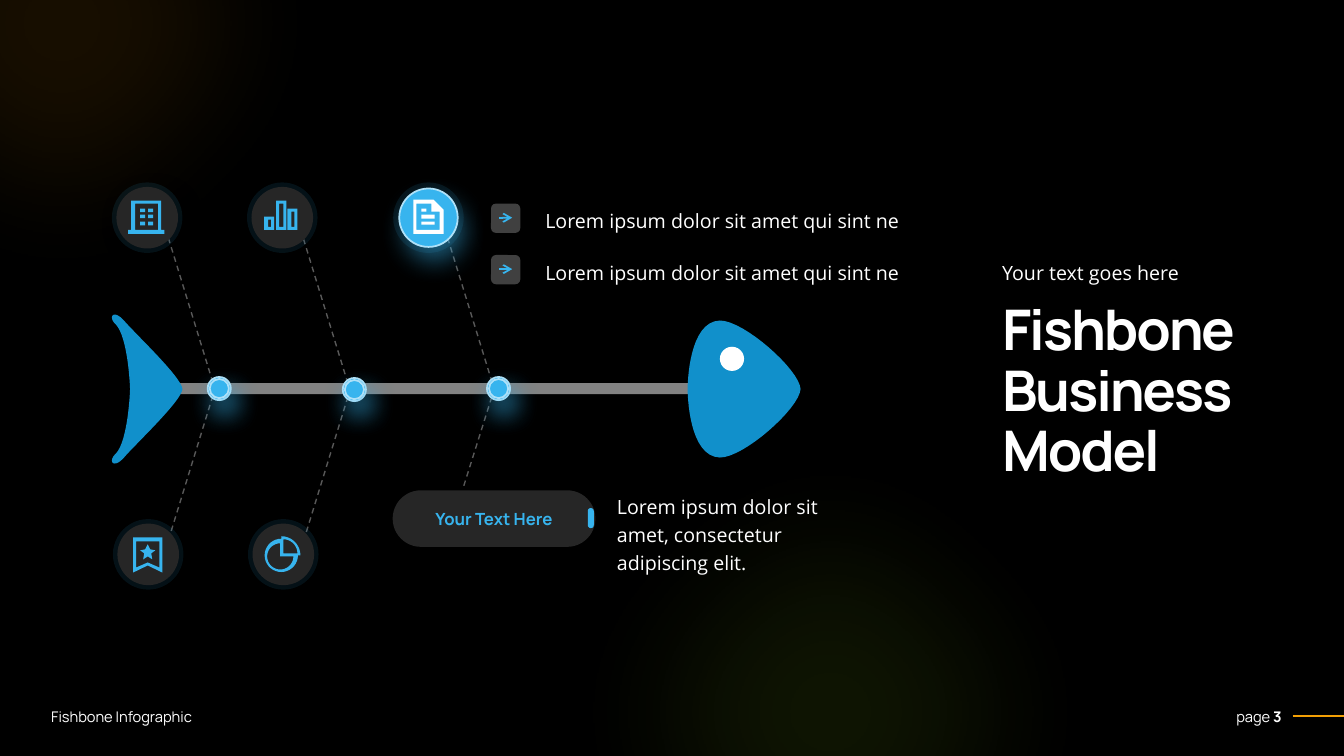
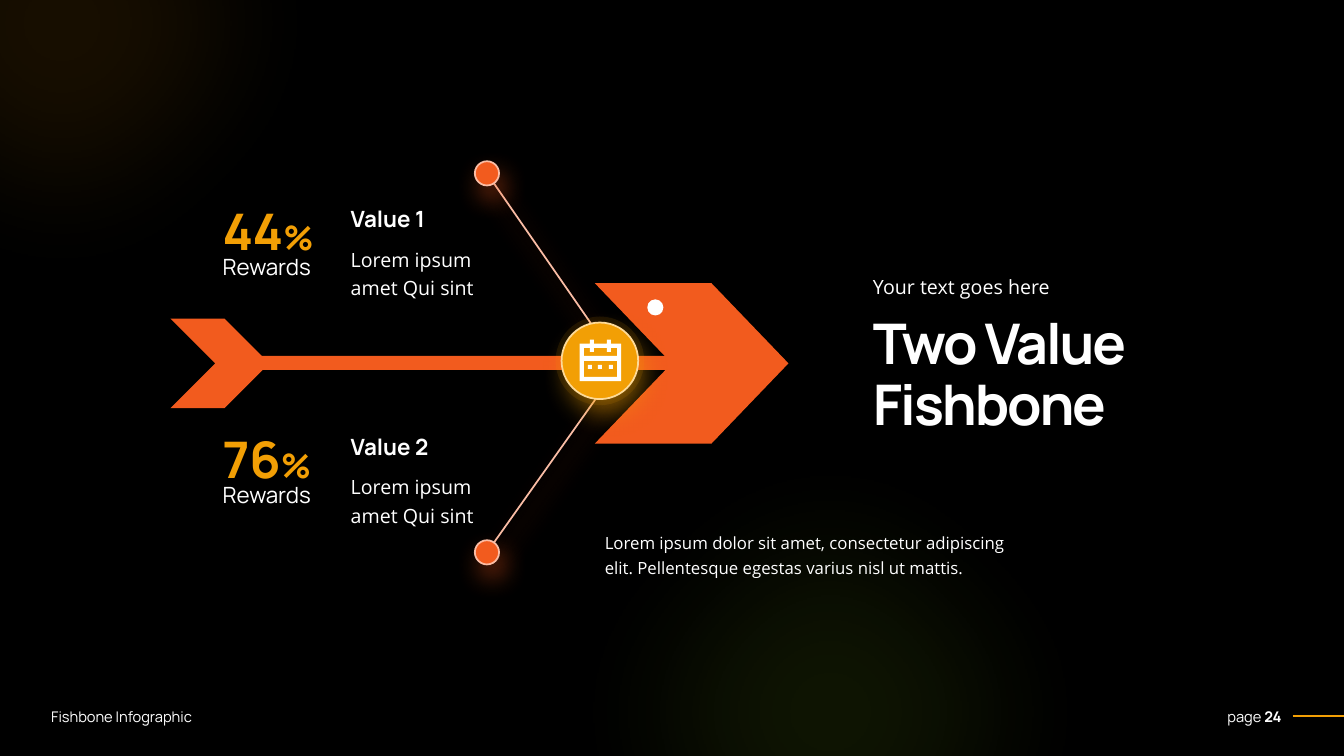
from dataclasses import dataclass
from math import cos, radians, sin

from lxml.etree import SubElement
from pptx import Presentation
from pptx.dml.color import RGBColor
from pptx.enum.dml import MSO_LINE
from pptx.enum.shapes import MSO_CONNECTOR, MSO_SHAPE
from pptx.enum.text import MSO_ANCHOR, PP_ALIGN
from pptx.oxml.ns import qn
from pptx.util import Inches, Pt


@dataclass(frozen=True)
class Theme:
    heading: str = "Manrope"
    body: str = "Open Sans"
    black: str = "000000"
    white: str = "FFFFFF"
    panel: str = "262626"
    tile: str = "404040"
    bone: str = "595959"
    spine: str = "D9D9D9"
    blue: str = "37B4EE"
    deep_blue: str = "1190CB"
    pale_blue: str = "AFE1F8"
    orange: str = "F25B1E"
    pale_orange: str = "FABDA5"
    amber: str = "F29F05"
    pale_amber: str = "FDDA98"
    green: str = "9FD923"
    title_size: float = 40
    number_size: float = 36
    percent_size: float = 24
    label_size: float = 16
    body_size: float = 14
    small_size: float = 12
    footer_size: float = 10.5
    thin: float = 1.25
    thick: float = 2.25


T = Theme()
SOFT = ("000000", 10, 19, 6, 45)


def glow(color):
    return color, 50, 19, 10, 68


def add_shadow(effects, color, alpha, blur, distance, angle):
    shadow = SubElement(effects, qn("a:outerShdw"), blurRad=str(Pt(blur)),
                        dist=str(Pt(distance)), dir=str(angle * 60000),
                        algn="tl", rotWithShape="0")
    tint = SubElement(shadow, qn("a:srgbClr"), val=color)
    SubElement(tint, qn("a:alpha"), val=str(alpha * 1000))


def paint(shape, fill, line=None, line_width=T.thin, alpha=None, shadow=None):
    shape.fill.solid()
    shape.fill.fore_color.rgb = RGBColor.from_string(fill)
    if alpha:
        tint = shape.element.spPr.find(qn("a:solidFill"))[0]
        SubElement(tint, qn("a:alpha"), val=str(alpha * 1000))
    if line:
        shape.line.color.rgb = RGBColor.from_string(line)
        shape.line.width = Pt(line_width)
    else:
        shape.line.fill.background()
    shape.shadow.inherit = False
    if shadow:
        add_shadow(shape.element.spPr.find(qn("a:effectLst")), *shadow)
    return shape


def add_shape(slide, kind, left, top, width, height, fill, adjust=None, **style):
    shape = slide.shapes.add_shape(
        kind, Inches(left), Inches(top), Inches(width), Inches(height))
    if adjust is not None:
        shape.adjustments[0] = adjust
    return paint(shape, fill, **style)


def add_circle(slide, left, top, size, fill, **style):
    return add_shape(slide, MSO_SHAPE.OVAL, left, top, size, size, fill, **style)


def add_line(slide, start, end, color, width=T.thin, dashed=False,
             arrow=False, shadow=None):
    line = slide.shapes.add_connector(
        MSO_CONNECTOR.STRAIGHT, *map(Inches, (*start, *end)))
    line.line.color.rgb = RGBColor.from_string(color)
    line.line.width = Pt(width)
    if dashed:
        line.line.dash_style = MSO_LINE.DASH
    properties = line._element.spPr
    if arrow:
        SubElement(properties.find(qn("a:ln")), qn("a:tailEnd"), type="arrow")
    effects = SubElement(properties, qn("a:effectLst"))
    if shadow:
        add_shadow(effects, *shadow)


def style_run(run, size, color, font, bold=False, spacing=None):
    run.font.size = Pt(size)
    run.font.name = font
    run.font.bold = bold
    run.font.color.rgb = RGBColor.from_string(color)
    if spacing:
        run._r.get_or_add_rPr().set("spc", str(spacing))


def add_text(slide, left, top, width, height, text, size=T.body_size,
             color=T.white, font=T.heading, bold=False, spacing=None,
             line_spacing=None, align=None, anchor=MSO_ANCHOR.TOP):
    frame = slide.shapes.add_textbox(
        Inches(left), Inches(top), Inches(width), Inches(height)).text_frame
    frame.word_wrap = True
    frame.vertical_anchor = anchor
    frame.text = text
    for paragraph in frame.paragraphs:
        paragraph.alignment = align
        paragraph.line_spacing = line_spacing
        for run in paragraph.runs:
            style_run(run, size, color, font, bold, spacing)
    return frame.paragraphs[0]


def add_body(slide, left, top, width, height, text, size=T.body_size):
    add_text(slide, left, top, width, height, text, size,
             font=T.body, line_spacing=1.2)


def rect(left, top, right, bottom):
    return [(left, top), (right, top), (right, bottom), (left, bottom)]


def arc(x, y, radius, start, end):
    return [(x + radius * cos(radians(a)), y + radius * sin(radians(a)))
            for a in range(start, end + 1, 10)]


def curve(a, b, c, d, steps=16):
    points = []
    for step in range(steps + 1):
        t = step / steps
        weights = ((1 - t) ** 3, 3 * t * (1 - t) ** 2, 3 * t * t * (1 - t), t ** 3)
        points.append(tuple(sum(w * p[axis] for w, p in zip(weights, (a, b, c, d)))
                            for axis in (0, 1)))
    return points


def mirrored(points, axis):
    return points + [(x, 2 * axis - y) for x, y in reversed(points)]


def add_outline(slide, left, top, contours, fill):
    scaled = [[(Inches(x / 100), Inches(y / 100)) for x, y in contour]
              for contour in contours]
    builder = slide.shapes.build_freeform(*scaled[0][0], scale=1.0)
    for index, contour in enumerate(scaled):
        if index:
            builder.move_to(*contour[0])
        builder.add_line_segments(contour[1:], close=True)
    paint(builder.convert_to_shape(Inches(left), Inches(top)), fill)


BUILDING = [
    [(16, 47), (19, 47), (19, 18), (49, 18), (49, 47), (52, 47), (52, 51), (16, 51)],
    rect(23, 21, 46, 47),
    *(rect(x, y, x + 5, y + 3.5) for x in (28, 36) for y in (26, 32, 39)),
]
BARS = [rect(17, 34, 27, 47), rect(29, 18, 39, 47), rect(40, 26, 50, 47),
        rect(21, 37, 24, 44), rect(32, 21, 36, 44), rect(44, 29, 47, 44)]
DOCUMENT = [
    [(20, 17), (40, 17), (50, 27), (50, 51), (20, 51)],
    [(23, 21), (38, 21), (38, 29), (46, 29), (46, 47), (23, 47)],
    rect(28, 26, 33, 29), rect(28, 32, 41, 36), rect(28, 39, 41, 42),
]
BOOKMARK = [
    [(20, 18), (49, 18), (49, 53), (34.5, 46), (20, 53)],
    [(23, 22), (46, 22), (46, 48), (34.5, 43), (23, 48)],
    [(34.5, 37), (30, 40), (31, 34), (27, 31), (32, 30), (34.5, 25),
     (37, 30), (42, 31), (38, 34), (39, 40)],
]
PIE = [arc(33, 36, 19, 270, 360) + arc(33, 36, 16.5, 0, 270),
       arc(32, 37, 13, 0, 270) + [(32, 37)],
       [(35, 34)] + arc(35, 34, 14, 270, 360)]
CALENDAR = [
    [(24, 27), (34, 27), (34, 23), (38, 23), (38, 27), (51, 27), (51, 23),
     (55, 23), (55, 27), (65, 27), (65, 64), (24, 64)],
    rect(28, 44, 61, 60),
    [(51, 31), (38, 31), (38, 35), (34, 35), (34, 31), (28, 31), (28, 39),
     (61, 39), (61, 31), (55, 31), (55, 35), (51, 35)],
    *(rect(x, 48, x + 4, 52) for x in (32, 42, 53)),
]
FISH_TAIL = [mirrored(curve((70, 74), (69, 62), (23, 19), (12, 6))
                      + curve((12, 6), (1, -6), (-4, 3), (4, 10))
                      + curve((4, 10), (16, 23), (18, 71), (18, 74)), 74)]
FISH_HEAD = [mirrored(curve((112, 68), (111, 49), (56, 0), (32, 0))
                      + curve((32, 0), (1, 1), (0, 63), (0, 68)), 68)]


def add_badge(slide, left, top, size, icon, fill=T.panel, line=T.panel,
              line_width=T.thick, halo=T.blue, icon_color=T.blue, shadow=SOFT):
    add_circle(slide, left, top, size, halo, alpha=10)
    add_circle(slide, left + 0.06, top + 0.06, size - 0.12, fill, line=line,
               line_width=line_width, shadow=shadow)
    add_outline(slide, left, top, icon, icon_color)


def add_base(deck, page):
    slide = deck.slides.add_slide(deck.slide_layouts[6])
    slide.background.fill.solid()
    slide.background.fill.fore_color.rgb = RGBColor.from_string(T.black)
    for left, top, color in ((4.84, 3.67, T.green), (-2.78, -3.16, T.amber)):
        haze = add_circle(slide, left, top, 6.8, color, alpha=10)
        SubElement(haze.element.spPr.find(qn("a:effectLst")), qn("a:softEdge"),
                   rad=str(Pt(100)))
    add_text(slide, 0.41, 6.97, 2.31, 0.28, "Fishbone Infographic",
             T.footer_size, anchor=MSO_ANCHOR.MIDDLE)
    folio = add_text(slide, 11.8, 6.97, 1.01, 0.28, "page ", T.footer_size,
                     align=PP_ALIGN.RIGHT, anchor=MSO_ANCHOR.MIDDLE)
    number = folio.add_run()
    number.text = str(page)
    style_run(number, T.footer_size, T.white, T.heading, bold=True)
    add_line(slide, (12.82, 7.1), (13.33, 7.1), T.amber)
    return slide


def add_title(slide, left, top, width, height, title):
    add_body(slide, left, top, 2.72, 0.37, "Your text goes here")
    add_text(slide, left, top + 0.46, width, height, title, T.title_size,
             bold=True, spacing=-150, line_spacing=0.9)


def add_fish(slide, left, top):
    add_shape(slide, MSO_SHAPE.RECTANGLE, left + 0.49, top + 0.68, 5.26, 0.11,
              T.spine, alpha=60)
    add_outline(slide, left, top, FISH_TAIL, T.deep_blue)
    add_outline(slide, left + 5.71, top + 0.06, FISH_HEAD, T.deep_blue)
    add_circle(slide, left + 6.03, top + 0.32, 0.24, T.white)


def add_joint(slide, left, top, lower_end):
    add_line(slide, (left - 0.39, top - 1.38), (left + 0.05, top + 0.05),
             T.bone, 1, dashed=True)
    add_line(slide, (left + lower_end[0], top + lower_end[1]),
             (left + 0.05, top + 0.19), T.bone, 1, dashed=True)
    for inset in (0, 0.02):
        add_circle(slide, left + inset, top + inset, 0.23 - 2 * inset, T.blue,
                   line=T.pale_blue, shadow=glow(T.blue))


def add_bullet(slide, left, top, text):
    add_shape(slide, MSO_SHAPE.ROUNDED_RECTANGLE, left, top, 0.29, 0.29, T.tile,
              shadow=SOFT)
    add_line(slide, (left + 0.08, top + 0.14), (left + 0.21, top + 0.14),
             T.blue, arrow=True)
    add_body(slide, left + 0.44, top - 0.04, 3.95, 0.37, text)


def add_pill(slide, left, top, text):
    pill = add_shape(slide, MSO_SHAPE.ROUNDED_RECTANGLE, left, top, 1.98, 0.53,
                     T.panel, adjust=0.5, line=T.panel, line_width=T.thick,
                     shadow=SOFT)
    frame = pill.text_frame
    frame.text = text
    frame.vertical_anchor = MSO_ANCHOR.MIDDLE
    frame.paragraphs[0].alignment = PP_ALIGN.CENTER
    style_run(frame.paragraphs[0].runs[0], T.small_size, T.blue, T.heading, bold=True)
    add_shape(slide, MSO_SHAPE.ROUNDED_RECTANGLE, left + 1.92, top + 0.16,
              0.06, 0.2, T.blue, adjust=0.5)


def build_business_model(deck):
    slide = add_base(deck, 3)
    add_fish(slide, 1.11, 3.12)
    long_bone, short_bone = (-0.39, 1.62), (-0.23, 1.08)
    for left, top, lower_end in ((2.06, 3.74, long_bone), (3.4, 3.75, long_bone),
                                 (4.83, 3.74, short_bone)):
        add_joint(slide, left, top, lower_end)
    for left, top, icon in ((1.11, 1.81, BUILDING), (1.12, 5.15, BOOKMARK),
                            (2.45, 1.81, BARS), (2.46, 5.15, PIE)):
        add_badge(slide, left, top, 0.7, icon)
    add_badge(slide, 3.9, 1.81, 0.7, DOCUMENT, T.blue, T.pale_blue, T.thin,
              icon_color=T.white, shadow=glow(T.blue))
    add_pill(slide, 3.91, 4.88, "Your Text Here")
    for top in (2.02, 2.53):
        add_bullet(slide, 4.87, top, "Lorem ipsum dolor sit amet qui sint ne")
    add_body(slide, 6.02, 4.81, 2.71, 0.65,
             "Lorem ipsum dolor sit amet, consectetur adipiscing elit.")
    add_title(slide, 9.84, 2.49, 2.72, 1.92, "Fishbone\nBusiness Model")


def add_arrow_fish(slide, left, top):
    add_shape(slide, MSO_SHAPE.RECTANGLE, left + 0.56, top + 0.72, 4.5, 0.14, T.orange)
    add_shape(slide, MSO_SHAPE.CHEVRON, left, top + 0.35, 0.98, 0.89, T.orange)
    add_shape(slide, MSO_SHAPE.CHEVRON, left + 4.21, top, 1.92, 1.59, T.orange,
              adjust=0.48)
    add_circle(slide, left + 4.73, top + 0.16, 0.16, T.white)


def add_value(slide, left, top, number, label):
    figure = add_text(slide, left, top, 1.26, 0.71, number, T.number_size,
                      T.amber, bold=True)
    percent = figure.add_run()
    percent.text = "%"
    style_run(percent, T.percent_size, T.amber, T.heading, bold=True)
    add_text(slide, left, top + 0.52, 1.26, 0.37, "Rewards", T.label_size)
    add_text(slide, left + 1.27, top + 0.05, 1.31, 0.37, label, T.label_size, bold=True)
    add_body(slide, left + 1.27, top + 0.42, 1.57, 0.64, "Lorem ipsum amet Qui sint")


def build_two_value(deck):
    slide = add_base(deck, 24)
    ends = ((1.72, 3.51), (5.48, 3.73))
    for outer, inner in ends:
        add_line(slide, (4.83, outer), (6.07, inner), T.pale_orange,
                 shadow=glow(T.orange))
    add_arrow_fish(slide, 1.69, 2.81)
    add_badge(slide, 5.51, 3.14, 0.88, CALENDAR, T.amber, T.pale_amber, T.thin,
              halo=T.amber, icon_color=T.white, shadow=glow(T.amber))
    for outer, _ in ends:
        add_circle(slide, 4.71, outer - 0.12, 0.24, T.orange, line=T.pale_orange,
                   shadow=glow(T.orange))
    add_value(slide, 2.11, 1.94, "44", "Value 1")
    add_value(slide, 2.11, 4.2, "76", "Value 2")
    add_body(slide, 5.9, 5.2, 4.37, 0.57,
             "Lorem ipsum dolor sit amet, consectetur adipiscing elit. "
             "Pellentesque egestas varius nisl ut mattis.", T.small_size)
    add_title(slide, 8.56, 2.63, 3.42, 1.32, "Two Value Fishbone")


def main():
    deck = Presentation()
    deck.slide_width, deck.slide_height = Inches(13.33), Inches(7.5)
    build_business_model(deck)
    build_two_value(deck)
    deck.save("out.pptx")


if __name__ == "__main__":
    main()
